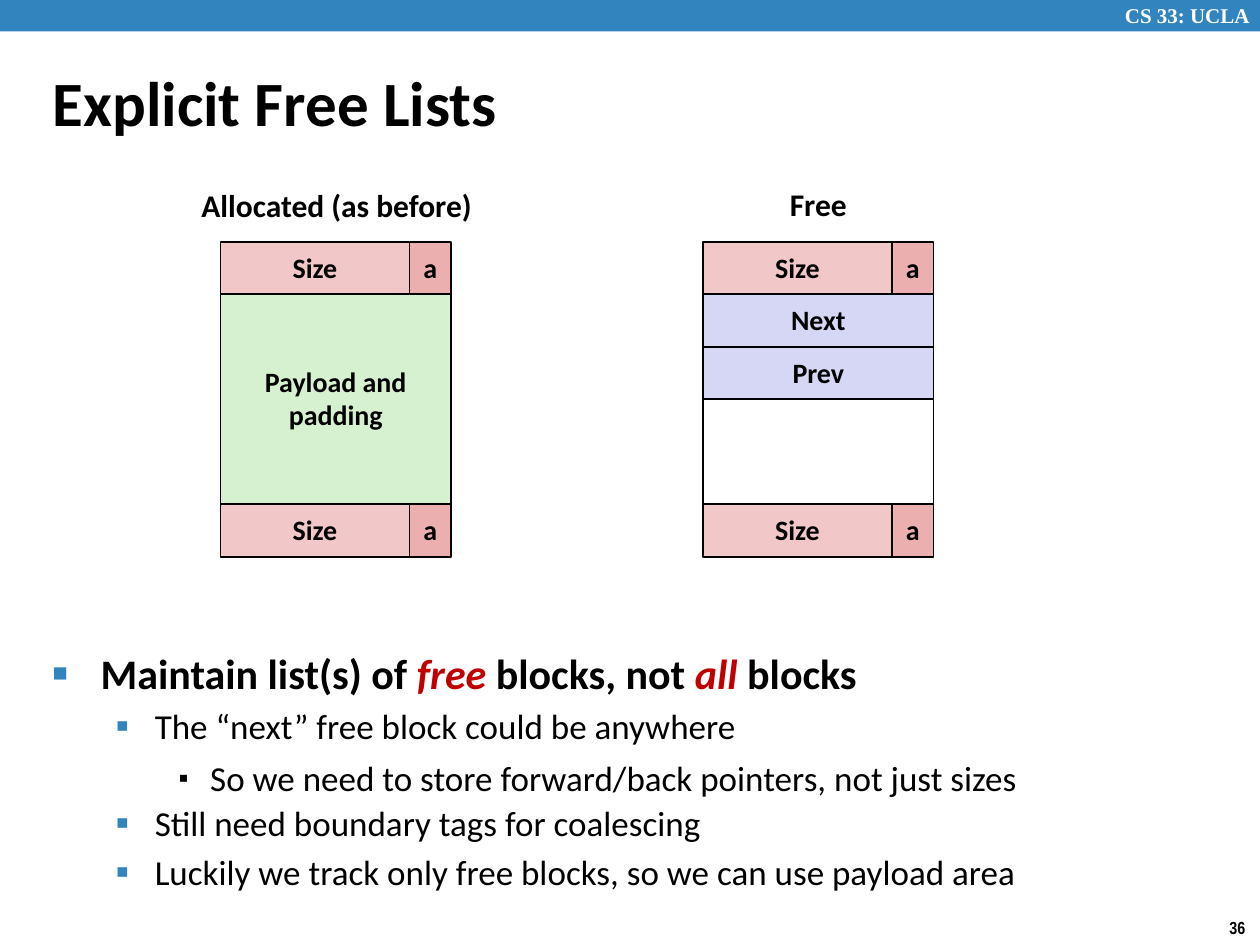
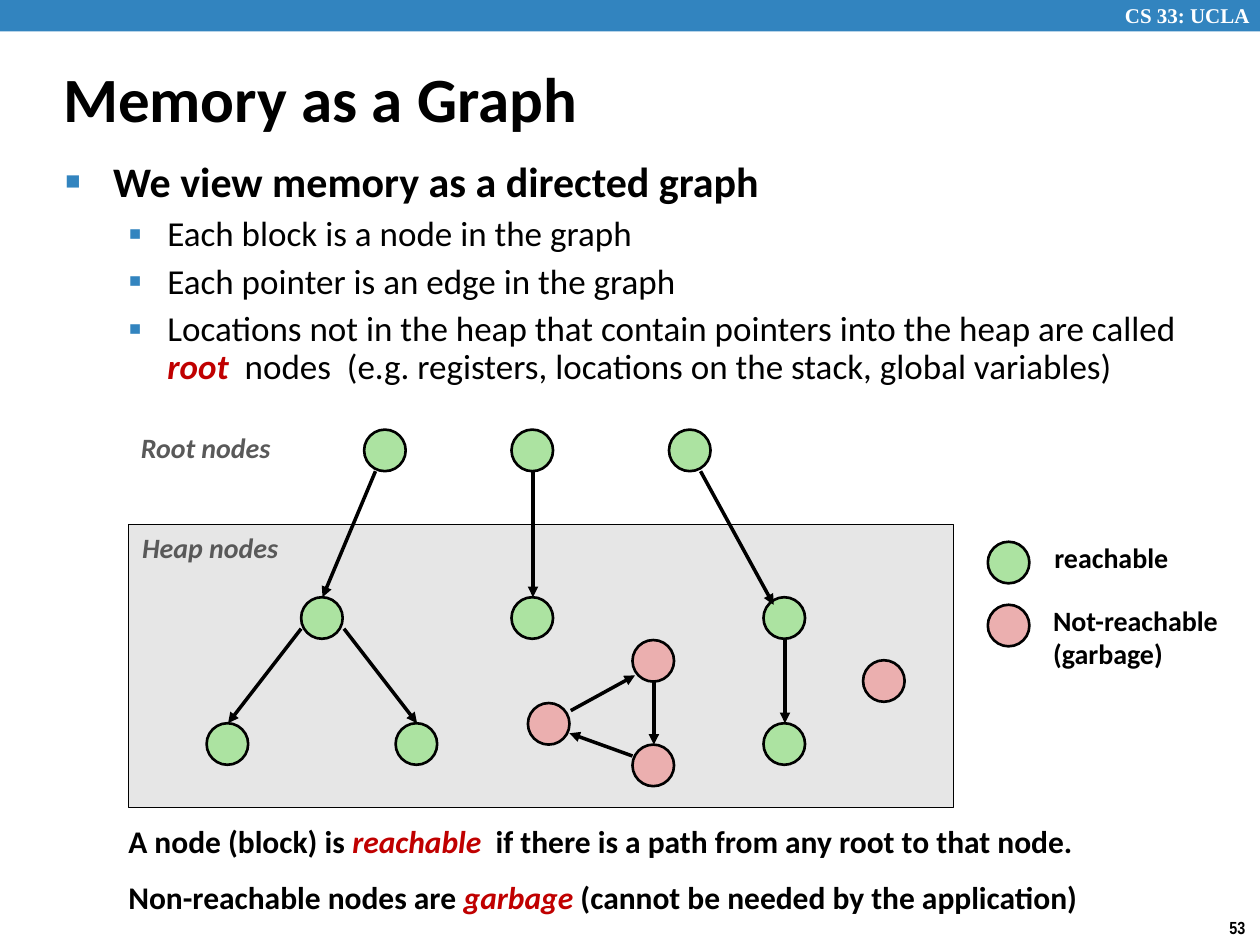
from lxml import etree
from pptx import Presentation
from pptx.dml.color import RGBColor
from pptx.enum.shapes import MSO_CONNECTOR, MSO_SHAPE
from pptx.enum.text import MSO_ANCHOR, PP_ALIGN
from pptx.oxml.ns import qn
from pptx.util import Inches, Pt

RECT, OVAL = MSO_SHAPE.RECTANGLE, MSO_SHAPE.OVAL
STRAIGHT = MSO_CONNECTOR.STRAIGHT
TOP, MIDDLE = MSO_ANCHOR.TOP, MSO_ANCHOR.MIDDLE
LEFT, CENTER = PP_ALIGN.LEFT, PP_ALIGN.CENTER

BLACK = RGBColor(0, 0, 0)
WHITE = RGBColor(255, 255, 255)
BLUE = RGBColor(0x32, 0x84, 0xBF)
RED = RGBColor(0xC0, 0, 0)
GRAY = RGBColor(0x59, 0x59, 0x59)
PALE = RGBColor(0xE6, 0xE6, 0xE6)
PINK = RGBColor(0xF1, 0xC7, 0xC7)
ROSE = RGBColor(0xEB, 0xAF, 0xAF)
MINT = RGBColor(0xD5, 0xF1, 0xCF)
GREEN = RGBColor(0xAC, 0xE3, 0xA1)
LILAC = RGBColor(0xD6, 0xD6, 0xF5)

FONT = "Calibri"
COURSE = "CS 33: UCLA"

# Bullet styles: indent, hang, size, bold, character, percent, colour
LEVELS = [
    (0.38, 0.38, 24, True, "■", 60, BLUE),
    (0.81, 0.31, 20, False, "▪", 110, BLUE),
    (1.25, 0.25, 20, False, "▪", 80, BLACK),
]

# Slide 1 content; bullets are (level, line spacing, space before, text),
# and *stars* mark emphasis
LISTS = [
    (0, 0.85, 0, "Maintain list(s) of *free* blocks, not *all* blocks"),
    (1, 1, 4, "The “next” free block could be anywhere"),
    (2, 1.07, 4, "So we need to store forward/back pointers, not just sizes"),
    (1, 0.9, 4, "Still need boundary tags for coalescing"),
    (1, 1, 4, "Luckily we track only free blocks, so we can use payload area"),
]
# Block: left edge, label, label box, middle rows (text, fill, row count)
BLOCKS = [
    (1.75, "Allocated (as before)", (1.5, 1.43, 2.37, 0.4),
     [("Payload and\npadding", MINT, 4)]),
    (5.58, "Free", (6.17, 1.42, 0.66, 0.4),
     [("Next", LILAC, 1), ("Prev", LILAC, 1), ("", WHITE, 2)]),
]
BLOCK_TOP, ROW, SIZE_W, FLAG_W = 1.92, 1.25 / 3, 1.5, 0.33

# Slide 2 content
GRAPH = [
    (0, 0.85, 0, "We view memory as a directed graph"),
    (1, 0.9, 5.6, "Each block is a node in the graph"),
    (1, 0.9, 5.6, "Each pointer is an edge in the graph"),
    (1, 0.9, 5.6, "Locations not in the heap that contain pointers into the heap "
     "are called *root*  nodes  (e.g. registers, locations on the stack, "
     "global variables)"),
]
NODE = 0.33
NODES = [
    (GREEN, [(2.89, 3.41), (4.06, 3.41), (5.31, 3.41),
             (2.39, 4.74), (4.06, 4.74), (6.06, 4.74),
             (1.64, 5.74), (3.14, 5.74), (6.06, 5.74), (7.84, 4.3)]),
    (ROSE, [(5.02, 5.08), (5.02, 5.91), (4.19, 5.58), (6.85, 5.24),
            (7.84, 4.8)]),
]
EDGES = [
    (2.98, 3.74, 2.56, 4.74), (4.23, 3.74, 4.23, 4.74), (5.56, 3.74, 6.14, 4.8),
    (2.39, 4.99, 1.81, 5.74), (2.73, 4.99, 3.31, 5.74), (6.23, 5.08, 6.23, 5.74),
    (5.19, 5.41, 5.19, 5.91), (5.02, 6, 4.52, 5.82), (4.53, 5.64, 5.04, 5.36),
]
LABELS = [
    ("Root nodes", (1.02, 3.37, 1.26, 0.37), GRAY, True),
    ("Heap nodes", (1.03, 4.16, 1.3, 0.37), GRAY, True),
    ("reachable", (8.27, 4.24, 1.11, 0.37), BLACK, False),
    ("Not-reachable\n(garbage)", (8.26, 4.74, 1.53, 0.64), BLACK, False),
]
RULES = [
    "A node (block) is *reachable*  if there is a path from any root to that node.",
    "Non-reachable nodes are *garbage *(cannot be needed by the application)",
]


def inches(box):
    return [Inches(v) for v in box]


def style(run, size, color=BLACK, bold=True, italic=False, face=FONT):
    font = run.font
    font.name, font.size = face, Pt(size)
    font.bold, font.italic = bold, italic
    font.color.rgb = color


def mark(para, text, size, bold=True):
    """Write text, with the starred parts red, bold and italic."""
    for i, part in enumerate(text.split("*")):
        if part:
            run = para.add_run()
            run.text = part
            hot = i % 2 == 1
            style(run, size, RED if hot else BLACK, bold or hot, hot)


def fill_text(frame, text, size, align=LEFT, spacing=1, **look):
    frame.text = text
    for para in frame.paragraphs:
        para.alignment, para.line_spacing = align, spacing
        for run in para.runs:
            style(run, size, **look)


def add_text(slide, box, text, size, **look):
    frame = slide.shapes.add_textbox(*inches(box)).text_frame
    frame.word_wrap = False
    fill_text(frame, text, size, **look)


def add_form(slide, kind, box, fill, line=0, text=""):
    form = slide.shapes.add_shape(kind, *inches(box))
    form.shadow.inherit = False
    form.fill.solid()
    form.fill.fore_color.rgb = fill
    if line:
        form.line.color.rgb = BLACK
        form.line.width = Pt(line)
    else:
        form.line.fill.background()
    if text:
        frame = form.text_frame
        frame.word_wrap, frame.vertical_anchor = False, MIDDLE
        fill_text(frame, text, 16, CENTER, 0.98)


def add_edge(slide, ends):
    edge = slide.shapes.add_connector(STRAIGHT, *inches(ends))
    edge.line.color.rgb = BLACK
    edge.line.width = Pt(2)
    tail = etree.SubElement(edge.line._get_or_add_ln(), qn("a:tailEnd"))
    tail.set("type", "triangle")
    etree.SubElement(edge._element.spPr, qn("a:effectLst"))


def add_bullet(para, level):
    indent, hang, _, _, char, percent, color = LEVELS[level]
    props = para._p.get_or_add_pPr()
    props.set("marL", str(Inches(indent)))
    props.set("indent", str(-Inches(hang)))
    tint = etree.SubElement(props, qn("a:buClr"))
    etree.SubElement(tint, qn("a:srgbClr")).set("val", str(color))
    for tag, key, value in (("a:buSzPct", "val", str(percent * 1000)),
                            ("a:buFont", "typeface", "Times New Roman"),
                            ("a:buChar", "char", char)):
        etree.SubElement(props, qn(tag)).set(key, value)


def add_list(slide, box, items):
    frame = slide.shapes.add_textbox(*inches(box)).text_frame
    frame.word_wrap = True
    for i, (level, spacing, before, text) in enumerate(items):
        para = frame.add_paragraph() if i else frame.paragraphs[0]
        para.level = level
        add_bullet(para, level)
        para.line_spacing, para.space_before = spacing, Pt(before)
        mark(para, text, *LEVELS[level][2:4])


def add_slide(deck, title, box, number):
    """Add a slide with the shared band, course name, number and title."""
    slide = deck.slides.add_slide(deck.slide_layouts[5])
    add_form(slide, RECT, (0, 0, 10, 0.25), BLUE)
    add_text(slide, (8.83, -0.03, 1.24, 0.3), COURSE, 12,
             color=WHITE, face="Times New Roman")
    add_text(slide, (9.66, 7.23, 0.34, 0.27), number, 10, face="Arial Narrow")
    head = slide.shapes.title
    head.left, head.top, head.width, head.height = inches(box)
    head.text_frame.vertical_anchor = MIDDLE
    fill_text(head.text_frame, title, 36, LEFT, 0.87)
    return slide


def draw_block(slide, left, label, box, rows):
    add_text(slide, box, label, 18)
    top = BLOCK_TOP + ROW
    for text, fill, count in rows:
        add_form(slide, RECT, (left, top, SIZE_W + FLAG_W, ROW * count),
                 fill, 1, text)
        top += ROW * count
    for y in (BLOCK_TOP, top):
        add_form(slide, RECT, (left, y, SIZE_W, ROW), PINK, 1, "Size")
        add_form(slide, RECT, (left + SIZE_W, y, FLAG_W, ROW), ROSE, 1, "a")


def main():
    deck = Presentation()
    deck.slide_width, deck.slide_height = Inches(10), Inches(7.5)

    # Explicit free lists
    slide = add_slide(deck, "Explicit Free Lists", (0.32, 0.53, 6.64, 0.63), "36")
    add_list(slide, (0.32, 5.15, 9.09, 2.02), LISTS)
    for block in BLOCKS:
        draw_block(slide, *block)

    # Memory as a graph
    slide = add_slide(deck, "Memory as a Graph", (0.4, 0.5, 6.93, 0.63), "53")
    add_list(slide, (0.42, 1.25, 9.26, 1.69), GRAPH)
    add_form(slide, RECT, (1.02, 4.16, 6.55, 2.25), PALE, 0.5)
    for fill, spots in NODES:
        for x, y in spots:
            add_form(slide, OVAL, (x, y, NODE, NODE), fill, 1.5)
    for ends in EDGES:
        add_edge(slide, ends)
    for text, box, color, italic in LABELS:
        add_text(slide, box, text, 16, color=color, italic=italic)

    # Reachability rules
    frame = slide.shapes.add_textbox(*inches((0.92, 6.5, 8.1, 0.92))).text_frame
    frame.word_wrap, frame.vertical_anchor = True, TOP
    for i, text in enumerate(RULES):
        para = frame.add_paragraph() if i else frame.paragraphs[0]
        para.line_spacing, para.space_before = 0.95, Pt(11.2 if i else 0)
        mark(para, text, 18)

    deck.save("out.pptx")


if __name__ == "__main__":
    main()
